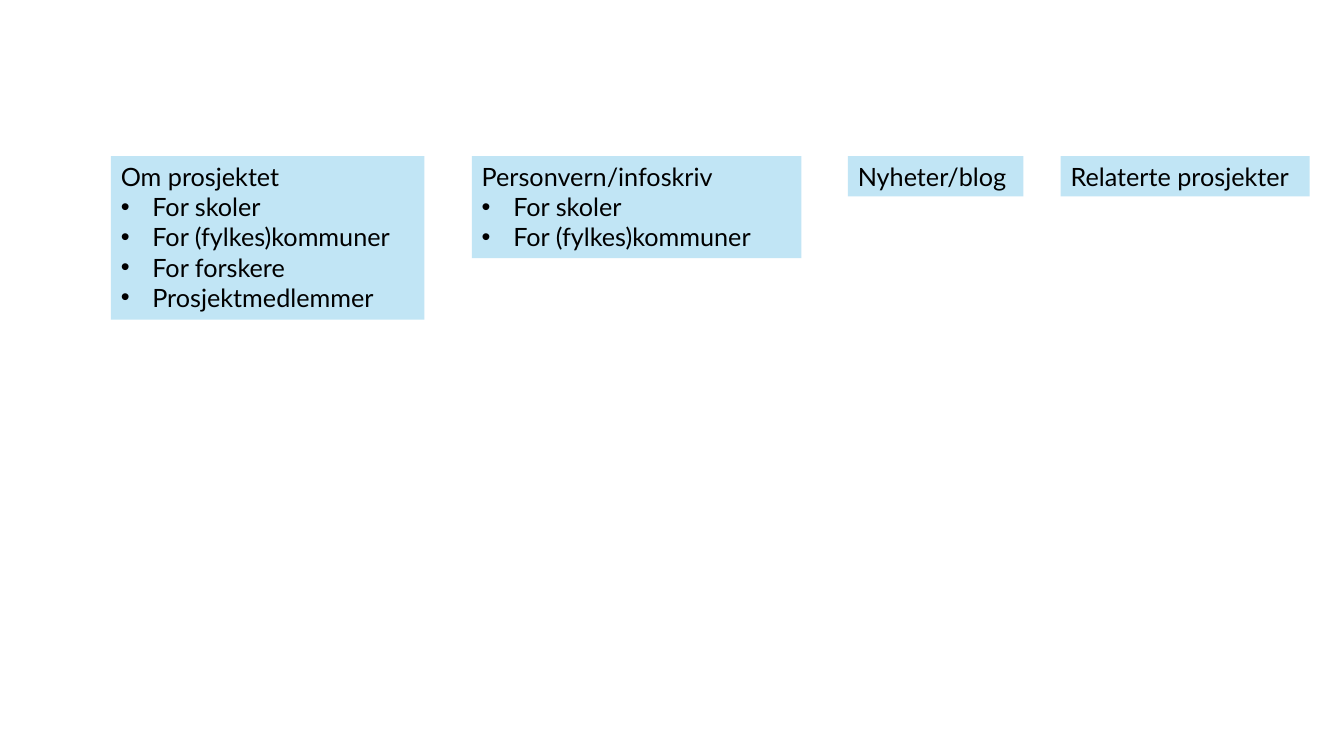
"""Build a slide with the menu sections of a project website."""
from dataclasses import dataclass

from lxml.etree import SubElement
from pptx import Presentation
from pptx.dml.color import RGBColor
from pptx.enum.text import MSO_AUTO_SIZE as AutoSize
from pptx.oxml.ns import qn
from pptx.slide import Slide
from pptx.text.text import _Paragraph as Paragraph
from pptx.util import Inches, Pt

LIGHT_BLUE = RGBColor(0xC1, 0xE5, 0xF5)
BLACK = RGBColor(0x00, 0x00, 0x00)
FONT_NAME = "Lato"
FONT_SIZE = Pt(18)
SECTION_TOP = Inches(1.55)
TITLE_HEIGHT = Inches(0.4)
PAGE_HEIGHT = Pt(22)
BULLET_INDENT = Pt(22.5)


@dataclass(frozen=True)
class Section:
    """A menu section with its pages."""

    title: str
    left: float
    width: float
    pages: tuple[str, ...] = ()


SECTIONS = (
    Section("Om prosjektet", 1.1, 3.11,
            ("For skoler", "For (fylkes)kommuner", "For forskere", "Prosjektmedlemmer")),
    Section("Personvern/infoskriv", 4.68, 3.27, ("For skoler", "For (fylkes)kommuner")),
    Section("Nyheter/blog", 8.41, 1.74),
    Section("Relaterte prosjekter", 10.52, 2.47),
)


def add_bullet(paragraph: Paragraph) -> None:
    """Give a paragraph a bullet with a hanging indent."""
    properties = paragraph._p.get_or_add_pPr()
    properties.set("marL", str(BULLET_INDENT))
    properties.set("indent", str(-BULLET_INDENT))
    SubElement(properties, qn("a:buFont"), typeface="Arial")
    SubElement(properties, qn("a:buChar"), char="•")


def add_section(slide: Slide, section: Section) -> None:
    """Draw one section as a filled text box."""
    height = TITLE_HEIGHT + PAGE_HEIGHT * len(section.pages)
    shape = slide.shapes.add_textbox(Inches(section.left), SECTION_TOP,
                                     Inches(section.width), height)
    shape.fill.solid()
    shape.fill.fore_color.rgb = LIGHT_BLUE
    text_frame = shape.text_frame
    text_frame.word_wrap = True
    text_frame.auto_size = AutoSize.SHAPE_TO_FIT_TEXT
    text_frame.text = "\n".join((section.title, *section.pages))
    for paragraph in text_frame.paragraphs:
        font = paragraph.runs[0].font
        font.name = FONT_NAME
        font.size = FONT_SIZE
        font.color.rgb = BLACK
    for paragraph in text_frame.paragraphs[1:]:
        add_bullet(paragraph)


def main() -> None:
    """Create and save the presentation."""
    presentation = Presentation()
    presentation.slide_width = Inches(13.33)
    presentation.slide_height = Inches(7.5)
    slide = presentation.slides.add_slide(presentation.slide_layouts[6])
    for section in SECTIONS:
        add_section(slide, section)
    presentation.save("out.pptx")


if __name__ == "__main__":
    main()
